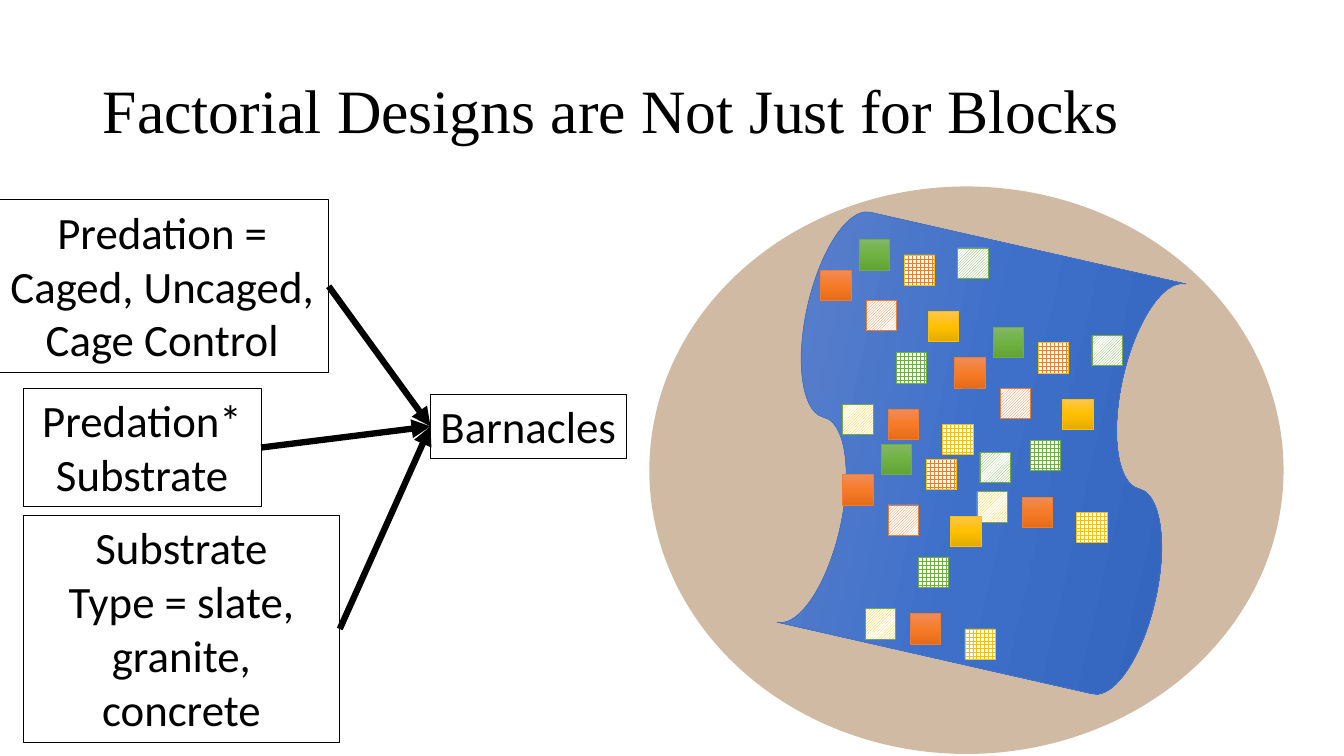
from dataclasses import dataclass
from copy import deepcopy
from lxml import etree
from pptx import Presentation
from pptx import util as u
from pptx.dml.color import RGBColor
from pptx.enum import dml, shapes, text
from pptx.oxml.ns import qn


@dataclass(frozen=True)
class Theme:
    title_font: str = "Times New Roman"
    label_font: str = "Calibri"
    title_size: int = 44
    label_size: int = 32
    ink: str = "000000"
    paper: str = "FFFFFF"
    rock: str = "996633"
    rock_opacity: int = 45
    water: str = "4472C4"
    orange: str = "ED7D31"
    green: str = "70AD47"
    gold: str = "FFC000"
    outline: float = 0.5
    box_outline: float = 0.75
    arrow: float = 4.5


THEME = Theme()
GRADIENTS = {
    THEME.water: ("6183CB", "3E70CA", "3062BB"),
    THEME.orange: ("F18C57", "F67B28", "E56C19"),
    THEME.green: ("81B861", "6FB242", "62A336"),
    THEME.gold: ("FFC64B", "FFC000", "E3AB00"),
}
GRID = dml.MSO_PATTERN.LARGE_GRID
STRIPES = dml.MSO_PATTERN.LIGHT_UPWARD_DIAGONAL


@dataclass(frozen=True)
class Label:
    lines: tuple[str, ...]
    left: float
    top: float
    width: float
    height: float
    wrap: bool = True


@dataclass(frozen=True)
class Tile:
    dx: float
    dy: float
    color: str
    edge: str
    pattern: dml.MSO_PATTERN | None = None


OUTCOME = Label(("Barnacles",), 4.27, 3.91, 1.94, 0.64, False)
FACTORS = (
    Label(("Substrate", "Type = slate, granite, concrete"), 0.23, 5.11, 3.14, 2.26),
    Label(("Predation = Caged, Uncaged, Cage Control",), -0.04, 1.98, 3.3, 1.72),
    Label(("Predation*Substrate",), 0.23, 3.85, 2.36, 1.18),
)
TILE_SIZE = 0.3
CLUSTER_ORIGINS = ((8.14, 2.38), (9.47, 3.25), (8.36, 4.41))
TILES = (
    Tile(0, 0.3, THEME.orange, THEME.orange),
    Tile(0.38, 0, THEME.green, THEME.green),
    Tile(0.83, 0.15, THEME.orange, THEME.gold, GRID),
    Tile(0.45, 0.6, THEME.orange, THEME.orange, STRIPES),
    Tile(0.22, 1.63, THEME.gold, THEME.green, STRIPES),
    Tile(1.07, 0.71, THEME.gold, THEME.gold),
    Tile(0.75, 1.12, THEME.green, THEME.green, GRID),
    Tile(1.21, 1.83, THEME.gold, THEME.gold, GRID),
    Tile(0.67, 1.68, THEME.orange, THEME.orange),
    Tile(1.36, 0.08, THEME.green, THEME.green, STRIPES),
)


def rgb(value: str) -> RGBColor:
    return RGBColor.from_string(value)


def style_font(para, name: str, size: int) -> None:
    para.font.name = name
    para.font.size = u.Pt(size)
    para.font.color.rgb = rgb(THEME.ink)


def set_line(shape, color: str, width: float) -> None:
    shape.line.color.rgb = rgb(color)
    shape.line.width = u.Pt(width)


def add_preset(page, kind, left: float, top: float, width: float, height: float):
    shape = page.shapes.add_shape(
        kind, u.Inches(left), u.Inches(top), u.Inches(width), u.Inches(height))
    shape.shadow.inherit = False
    return shape


def fill_gradient(shape, color: str) -> None:
    shape.fill.gradient()
    shape.fill.gradient_angle = 270
    stop_list = shape.element.spPr.find(qn("a:gradFill")).find(qn("a:gsLst"))
    stop_list.append(deepcopy(stop_list[-1]))
    for stop, position, shade in zip(
            shape.fill.gradient_stops, (0, 0.5, 1), GRADIENTS[color]):
        stop.position = position
        stop.color.rgb = rgb(shade)


def add_title(page) -> None:
    title = page.shapes.title
    title.left, title.top = u.Inches(0.92), u.Inches(0.4)
    title.width, title.height = u.Inches(11.5), u.Inches(1.45)
    frame = title.text_frame
    frame.text = "Factorial Designs are Not Just for Blocks"
    frame.vertical_anchor = text.MSO_ANCHOR.MIDDLE
    frame.auto_size = text.MSO_AUTO_SIZE.NONE
    para = frame.paragraphs[0]
    para.alignment = text.PP_ALIGN.LEFT
    para.line_spacing = 0.9
    style_font(para, THEME.title_font, THEME.title_size)


def add_rock(page) -> None:
    rock = add_preset(page, shapes.MSO_SHAPE.OVAL, 6.44, 1.85, 6.29, 5.63)
    rock.fill.solid()
    rock.fill.fore_color.rgb = rgb(THEME.rock)
    rock.line.fill.background()
    color = rock.element.spPr.find(qn("a:solidFill"))[0]
    etree.SubElement(color, qn("a:alpha"), val=str(THEME.rock_opacity * 1000))


def add_water(page) -> None:
    water = add_preset(page, shapes.MSO_SHAPE.FLOWCHART_PUNCHED_TAPE,
                       7.65, 2.49, 4.17, 4.01)
    water.rotation = 282.8
    fill_gradient(water, THEME.water)
    set_line(water, THEME.water, THEME.outline)


def add_label(page, label: Label):
    box = page.shapes.add_textbox(u.Inches(label.left), u.Inches(label.top),
                                  u.Inches(label.width), u.Inches(label.height))
    set_line(box, THEME.ink, THEME.box_outline)
    frame = box.text_frame
    frame.text = "\n".join(label.lines)
    frame.word_wrap = label.wrap
    frame.auto_size = text.MSO_AUTO_SIZE.SHAPE_TO_FIT_TEXT
    for para in frame.paragraphs:
        para.alignment = text.PP_ALIGN.CENTER
        style_font(para, THEME.label_font, THEME.label_size)
    return box


def add_arrow(page, factor, outcome) -> None:
    arrow = page.shapes.add_connector(shapes.MSO_CONNECTOR.STRAIGHT, 0, 0, 0, 0)
    arrow.begin_connect(factor, 3)
    arrow.end_connect(outcome, 1)
    set_line(arrow, THEME.ink, THEME.arrow)
    properties = arrow.element.spPr
    etree.SubElement(properties.find(qn("a:ln")), qn("a:tailEnd"), type="triangle")
    etree.SubElement(properties, qn("a:effectLst"))


def add_tile(page, tile: Tile, left: float, top: float) -> None:
    square = add_preset(page, shapes.MSO_SHAPE.RECTANGLE,
                        left + tile.dx, top + tile.dy, TILE_SIZE, TILE_SIZE)
    if tile.pattern is None:
        fill_gradient(square, tile.color)
    else:
        square.fill.patterned()
        square.fill.pattern = tile.pattern
        square.fill.fore_color.rgb = rgb(tile.color)
        square.fill.back_color.rgb = rgb(THEME.paper)
    set_line(square, tile.edge, THEME.outline)


def main() -> None:
    deck = Presentation()
    deck.slide_width, deck.slide_height = u.Inches(13.33), u.Inches(7.5)
    page = deck.slides.add_slide(deck.slide_layouts[5])
    add_title(page)
    add_rock(page)
    add_water(page)
    outcome = add_label(page, OUTCOME)
    for factor in FACTORS:
        add_arrow(page, add_label(page, factor), outcome)
    for left, top in CLUSTER_ORIGINS:
        for tile in TILES:
            add_tile(page, tile, left, top)
    deck.save("out.pptx")


if __name__ == "__main__":
    main()
